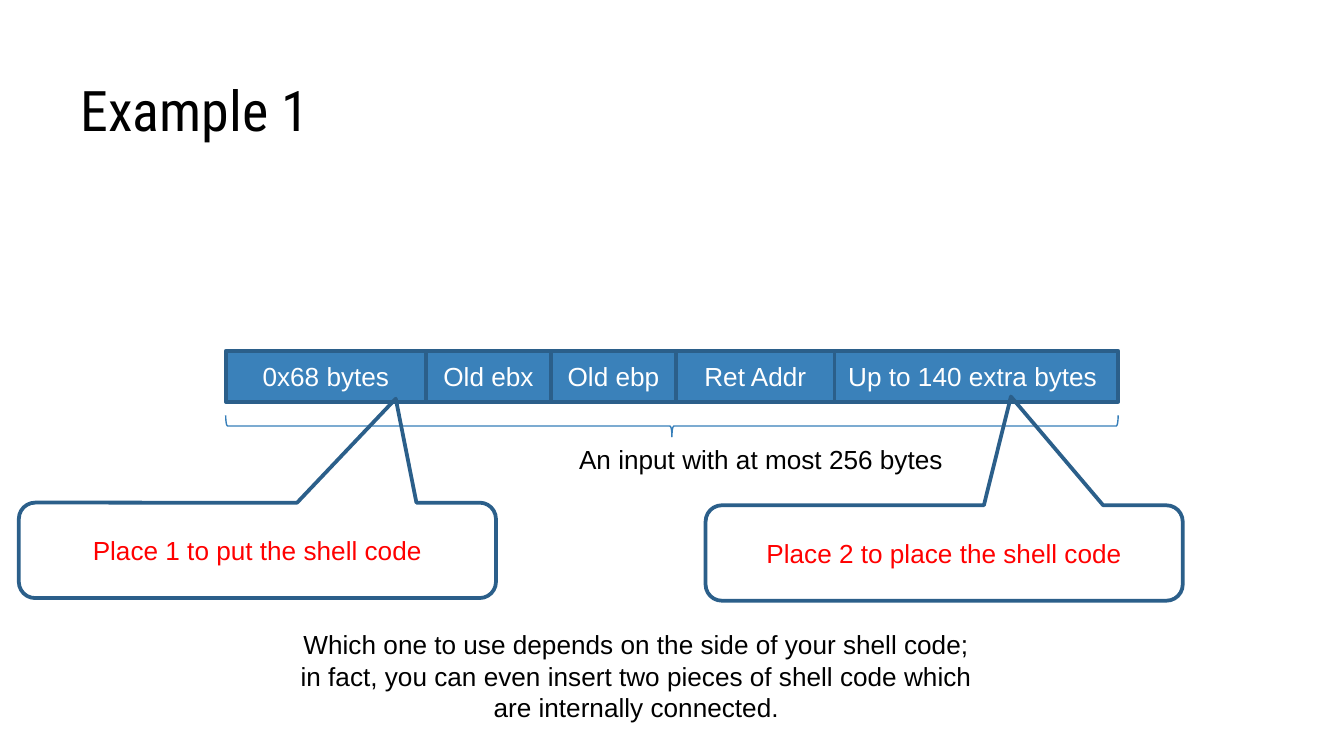
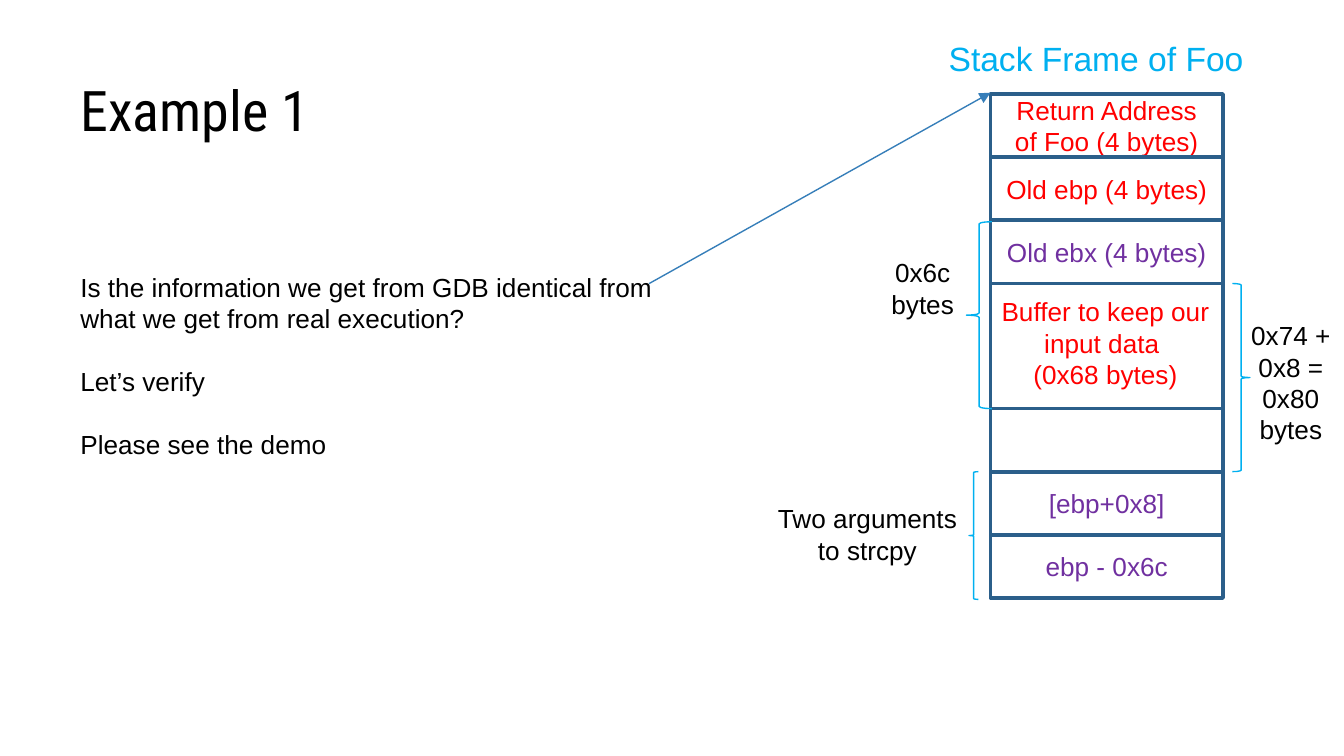
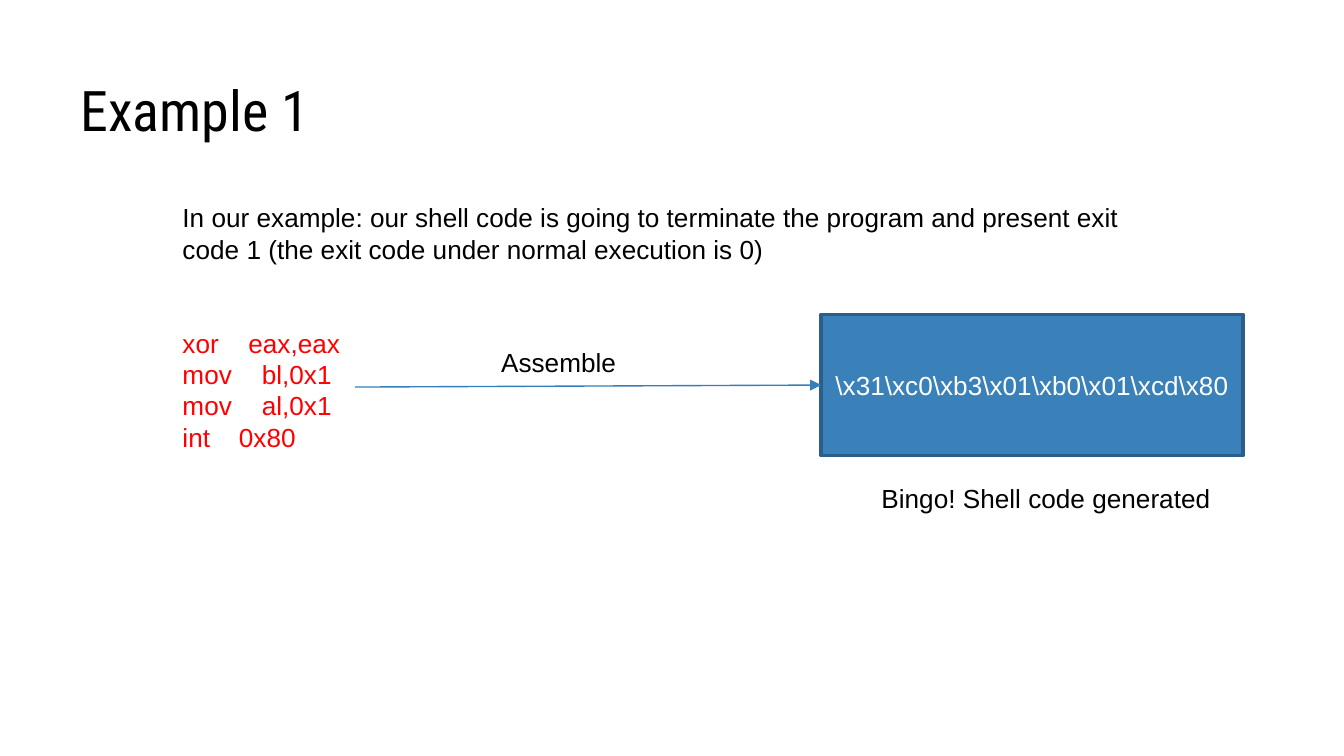
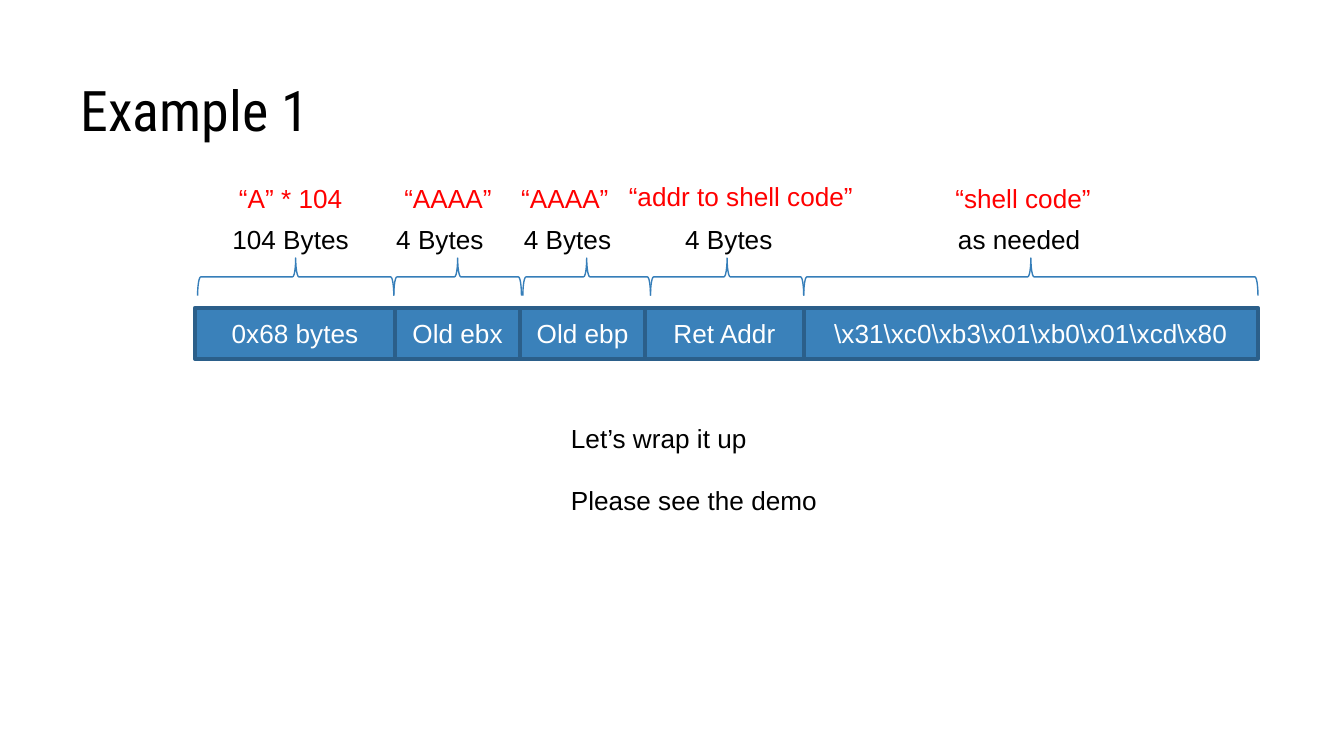
from dataclasses import dataclass

from lxml.etree import SubElement
from pptx import Presentation
from pptx.dml.color import RGBColor
from pptx.enum.shapes import MSO_CONNECTOR as Line, MSO_SHAPE as Shape
from pptx.enum.text import MSO_ANCHOR as Anchor, MSO_AUTO_SIZE as AutoSize, PP_ALIGN as Align
from pptx.oxml.ns import qn
from pptx.util import Pt

EMU_PER_PX = 9144


@dataclass(frozen=True)
class Theme:
    """Colours, fonts and type sizes shared by all slides."""
    ink: str = "000000"
    paper: str = "FFFFFF"
    block: str = "3A81BA"
    edge: str = "2B5F8A"
    rule: str = "367EB9"
    accent: str = "00B0F0"
    alert: str = "FF0000"
    saved: str = "7030A0"
    title_font: str = "Roboto Condensed"
    body_font: str = "Arial"
    title_size: int = 30
    heading_size: int = 18
    body_size: int = 14
    leading: float = 1.2
    edge_width: float = 2
    rule_width: float = 0.75


THEME = Theme()
SHELL_CODE = r"\x31\xc0\xb3\x01\xb0\x01\xcd\x80"
FRAME_CELLS = [("0x68 bytes", 149), ("Old ebx", 93), ("Old ebp", 93), ("Ret Addr", 118)]


def px(*lengths):
    """Turn px lengths into EMU."""
    return [round(length * EMU_PER_PX) for length in lengths]


def rgb(colour):
    """Return the RGB colour of a hex string."""
    return RGBColor.from_string(colour)


def style(paragraph, colour, size=THEME.body_size, align=Align.LEFT):
    """Give a body paragraph its font, colour, line pitch and alignment."""
    paragraph.alignment = align
    paragraph.line_spacing = Pt(size * THEME.leading)
    paragraph.font.name = THEME.body_font
    paragraph.font.size = Pt(size)
    paragraph.font.color.rgb = rgb(colour)


def write(frame, lines, colour, size=THEME.body_size, align=Align.LEFT, gap=0):
    """Fill a text frame, with a gap counted in lines between paragraphs."""
    frame.word_wrap = True
    for index, line in enumerate(lines):
        paragraph = frame.add_paragraph() if index else frame.paragraphs[0]
        paragraph.text = line
        if index and gap:
            paragraph.space_before = Pt(size * THEME.leading * gap)
        style(paragraph, colour, size, align)


def add_text(slide, box, *lines, colour=THEME.ink, **options):
    """Add a text box that grows with its lines and return its frame."""
    frame = slide.shapes.add_textbox(*px(*box)).text_frame
    write(frame, lines, colour, **options)
    frame.auto_size = AutoSize.SHAPE_TO_FIT_TEXT
    return frame


def add_slide(deck, title):
    """Add a blank slide with the shared title."""
    slide = deck.slides.add_slide(deck.slide_layouts[6])
    slide.background.fill.solid()
    slide.background.fill.fore_color.rgb = rgb(THEME.paper)
    frame = slide.shapes.add_textbox(*px(50, 22, 900, 94)).text_frame
    frame.word_wrap = True
    frame.vertical_anchor = Anchor.BOTTOM
    frame.margin_top, frame.margin_bottom = px(10, 10)
    heading = frame.paragraphs[0]
    heading.text = title
    heading.font.name = THEME.title_font
    heading.font.size = Pt(THEME.title_size)
    heading.font.color.rgb = rgb(THEME.ink)
    return slide


def add_outline(slide, kind, box, colour, width, fill=None):
    """Add a preset shape with a line and, if given, a fill."""
    shape = slide.shapes.add_shape(kind, *px(*box))
    shape.shadow.inherit = False
    shape.line.color.rgb = rgb(colour)
    shape.line.width = Pt(width)
    if fill:
        shape.fill.solid()
        shape.fill.fore_color.rgb = rgb(fill)
    else:
        shape.fill.background()
    return shape


def add_box(slide, box, *lines, colour=THEME.paper, fill=None, kind=Shape.RECTANGLE):
    """Add a dark-edged box with centred text."""
    shape = add_outline(slide, kind, box, THEME.edge, THEME.edge_width, fill)
    if lines:
        write(shape.text_frame, lines, colour, align=Align.CENTER)
        shape.text_frame.vertical_anchor = Anchor.MIDDLE
    return shape


def add_bar(slide, left, top, cells):
    """Add a row of touching filled memory cells."""
    for label, width in cells:
        add_box(slide, (left, top, width, 38), label, fill=THEME.block)
        left += width


def add_callout(slide, box, label, tip):
    """Add a rounded callout whose tip is relative to its box."""
    callout = add_box(slide, box, label, colour=THEME.alert, kind=Shape.ROUNDED_RECTANGULAR_CALLOUT)
    for index, value in enumerate((*tip, 0.17)):
        callout.adjustments[index] = value


def add_brace(slide, box, kind=Shape.LEFT_BRACE, colour=THEME.accent):
    """Add an upright thin brace."""
    return add_outline(slide, kind, box, colour, THEME.rule_width)


def add_flat_brace(slide, left, top, width, height, rotation):
    """Add a left brace turned to span a width."""
    middle_x, middle_y = left + width / 2, top + height / 2
    upright = (middle_x - height / 2, middle_y - width / 2, height, width)
    add_brace(slide, upright, colour=THEME.rule).rotation = rotation


def add_arrow(slide, start, end):
    """Add a thin straight arrow."""
    arrow = slide.shapes.add_connector(Line.STRAIGHT, *px(*start, *end))
    arrow.line.color.rgb = rgb(THEME.rule)
    arrow.line.width = Pt(THEME.rule_width)
    properties = arrow.element.spPr
    SubElement(properties.find(qn("a:ln")), qn("a:tailEnd"), type="triangle")
    SubElement(properties, qn("a:effectLst"))
    return arrow


def add_instructions(frame, instructions, gap):
    """Append assembly lines, each with its operand at a tab stop."""
    for index, (mnemonic, operand, stop) in enumerate(instructions):
        paragraph = frame.add_paragraph()
        paragraph.text = f"{mnemonic}\t{operand}"
        tabs = SubElement(paragraph._p.get_or_add_pPr(), qn("a:tabLst"))
        SubElement(tabs, qn("a:tab"), pos=str(px(stop)[0]), algn="l")
        if index == 0:
            paragraph.space_before = Pt(THEME.body_size * THEME.leading * gap)
        style(paragraph, THEME.alert)


def build_places(deck):
    """Show where the shell code can go in the input."""
    slide = add_slide(deck, "Example 1")
    add_bar(slide, 168, 261, FRAME_CELLS + [("Up to 140 extra bytes ", 211)])
    add_flat_brace(slide, 168, 309, 664, 16, 270)
    add_text(slide, (421, 325, 292, 34), "An input with at most 256 bytes")
    add_callout(slide, (14, 374, 355, 71), "Place 1 to put the shell code", (0.29, -1.59))
    add_callout(slide, (525, 376, 355, 71), "Place 2 to place the shell code", (0.14, -1.64))
    add_text(slide, (211, 463, 525, 81),
             "Which one to use depends on the side of your shell code; in fact, you can even "
             "insert two pieces of shell code which are internally connected.",
             align=Align.CENTER)


def build_stack(deck):
    """Show the stack frame and the question about it."""
    slide = add_slide(deck, "Example 1")
    left, width, row = 737, 173, 47
    add_text(slide, (696, 23, 269, 40), "Stack Frame of Foo",
             colour=THEME.accent, size=THEME.heading_size)
    saved_rows = [(THEME.alert, "Return Address", "of Foo (4 bytes)"),
                  (THEME.alert, "Old ebp (4 bytes)"),
                  (THEME.saved, "Old ebx (4 bytes)")]
    call_rows = [(THEME.saved,), (THEME.saved, "[ebp+0x8]"), (THEME.saved, "ebp - 0x6c")]
    for top, rows in ((70, saved_rows), (304, call_rows)):
        for index, (colour, *lines) in enumerate(rows):
            add_box(slide, (left, top + index * row, width, row), *lines, colour=colour)
    add_box(slide, (left, 211, width, 140))
    add_text(slide, (715, 215, 215, 81), "Buffer to keep our input data ", "(0x68 bytes)",
             colour=THEME.alert, align=Align.CENTER)

    add_brace(slide, (917, 211, 13, 140), Shape.RIGHT_BRACE)
    add_brace(slide, (719, 165, 19, 139))
    add_brace(slide, (721, 351, 7, 95))
    for box, lines in (((919, 233, 83, 104), ("0x74 +", "0x8 = 0x80", "bytes")),
                       ((652, 186, 69, 57), ("0x6c", "bytes")),
                       ((567, 369, 157, 57), ("Two arguments to strcpy",))):
        add_text(slide, box, *lines, align=Align.CENTER)

    add_text(slide, (50, 197, 447, 269),
             "Is the information we get from GDB identical from what we get from real execution?",
             "Let’s verify", "Please see the demo", gap=1)
    add_arrow(slide, (483, 211), (left, 69))


def build_assembly(deck):
    """Show the assembly turned into shell code."""
    slide = add_slide(deck, "Example 1")
    explanation = add_text(
        slide, (126, 145, 747, 269),
        "In our example: our shell code is going to terminate the program and present exit "
        "code 1 (the exit code under normal execution is 0)")
    add_instructions(explanation, [("xor", "eax,eax", 49), ("mov", "bl,0x1", 59),
                                   ("mov", "al,0x1", 59), ("int", "0x80", 42)], gap=2)
    machine_code = add_box(slide, (611, 234, 314, 105), SHELL_CODE, fill=THEME.block)
    add_arrow(slide, (264, 288), (611, 287)).end_connect(machine_code, 1)
    add_text(slide, (363, 253, 248, 34), "Assemble")
    add_text(slide, (646, 354, 335, 34), "Bingo! Shell code generated")


def build_payload(deck):
    """Show the payload, cell by cell."""
    slide = add_slide(deck, "Example 1")
    add_bar(slide, 145, 229, FRAME_CELLS + [(SHELL_CODE, 338)])
    add_text(slide, (415, 309, 307, 81), "Let’s wrap it up", "Please see the demo", gap=1)
    for left, width in ((147, 146), (293, 95), (389, 95), (484, 114), (598, 338)):
        add_flat_brace(slide, left, 192, width, 28, 90)
    for left, width, size in ((163, 179, "104 Bytes"), (285, 116, "4 Bytes"),
                              (380, 116, "4 Bytes"), (500, 116, "4 Bytes"),
                              (703, 267, "as needed")):
        add_text(slide, (left, 161, width, 34), size)
    for left, top, width, content in ((168, 131, 97, "“A” * 104"), (291, 131, 97, "“AAAA”"),
                                      (378, 131, 97, "“AAAA”"),
                                      (458, 129, 211, "“addr to shell code”"),
                                      (701, 131, 182, "“shell code”")):
        add_text(slide, (left, top, width, 34), content, colour=THEME.alert)


def main():
    """Build and save the deck."""
    deck = Presentation()
    deck.slide_width = px(1000)[0]
    deck.slide_height = deck.slide_width * 9 // 16
    for build in (build_places, build_stack, build_assembly, build_payload):
        build(deck)
    deck.save("out.pptx")


if __name__ == "__main__":
    main()
